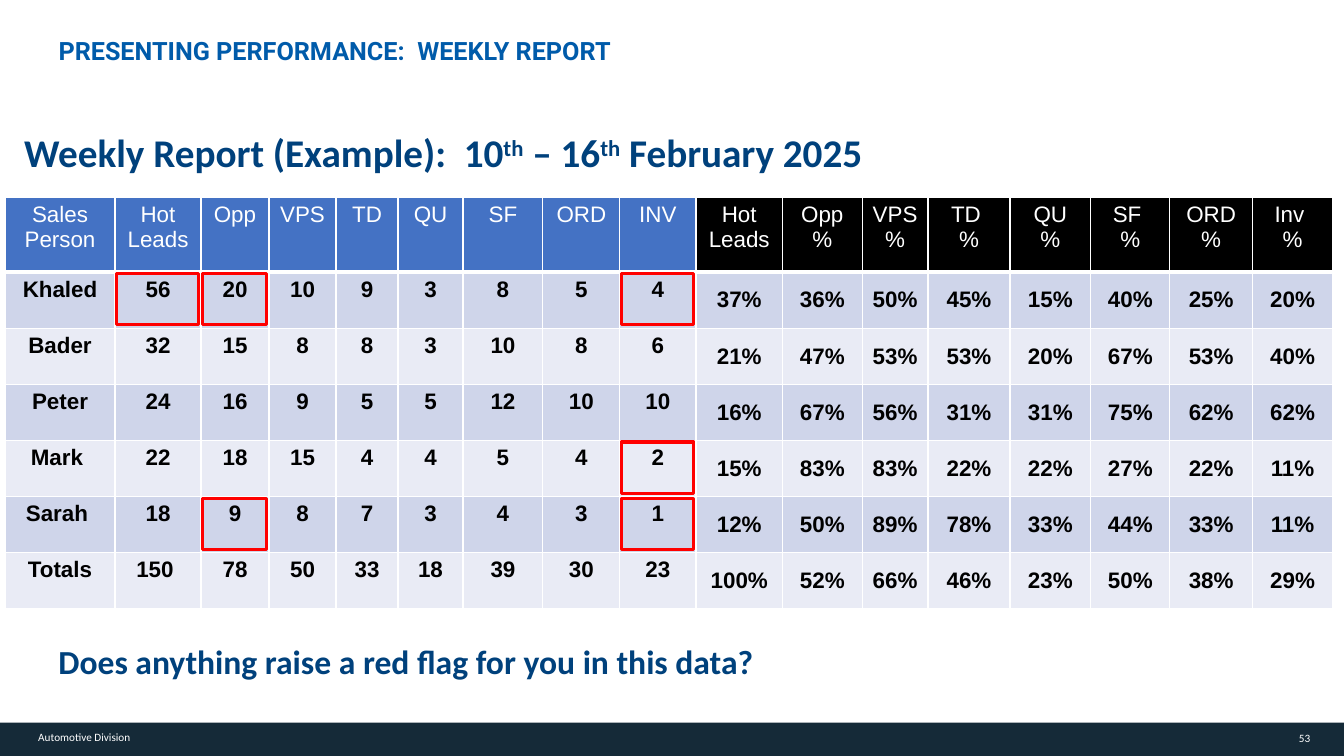
"""Build the weekly sales report slide with counts, percentages and red flags."""
import pptx
import pptx.dml.color
import pptx.enum.shapes
import pptx.enum.text
import pptx.oxml
import pptx.oxml.ns
import pptx.util

Pt = pptx.util.Pt
ALIGN = pptx.enum.text.PP_ALIGN
ANCHOR = pptx.enum.text.MSO_ANCHOR

COLORS = {
    "white": "FFFFFF", "black": "000000", "footer": "152A38", "heading": "005BAA",
    "navy": "00417C", "header": "4472C4", "odd": "CFD5EA", "even": "E9EBF5",
    "flag": "FF0000",
}
TABLE_LEFT, TABLE_TOP = 3.6, 141.1
ROW_HEIGHTS = [53.3] + [40.1] * 6
COUNT_WIDTHS = [78.6, 61.4, 48.6, 47.9, 44.3, 46.4, 57.1, 55, 54.3]
SHARE_WIDTHS = [61.7, 57, 47, 58.6, 57.6, 56.6, 59, 57.3]
COUNTS = [
    ["Sales Person", "Hot Leads", "Opp", "VPS", "TD", "QU", "SF", "ORD", "INV"],
    ["Khaled", "56", "20", "10", "9", "3", "8", "5", "4"],
    ["Bader", "32", "15", "8", "8", "3", "10", "8", "6"],
    ["Peter", "24", "16", "9", "5", "5", "12", "10", "10"],
    ["Mark ", "22", "18", "15", "4", "4", "5", "4", "2"],
    ["Sarah ", "18", "9", "8", "7", "3", "4", "3", "1"],
    ["Totals", "150 ", "78", "50", "33", "18", "39", "30", "23"],
]
SHARES = [
    ["Hot Leads", "Opp\n%", "VPS\n%", "TD \n%", "QU\n%", "SF \n%", "ORD\n%", "Inv \n%"],
    ["37%", "36%", "50%", "45%", "15%", "40%", "25%", "20%"],
    ["21%", "47%", "53%", "53%", "20%", "67%", "53%", "40%"],
    ["16%", "67%", "56%", "31%", "31%", "75%", "62%", "62%"],
    ["15%", "83%", "83%", "22%", "22%", "27%", "22%", "11%"],
    ["12%", "50%", "89%", "78%", "33%", "44%", "33%", "11%"],
    ["100%", "52%", "66%", "46%", "23%", "50%", "38%", "29%"],
]
FLAGGED_CELLS = [(1, 2), (5, 2), (1, 8), (5, 8), (4, 8), (1, 1)]


def rgb(name):
    """Return the named colour."""
    return pptx.dml.color.RGBColor.from_string(COLORS[name])


def set_font(p, name, size, color, bold=False):
    """Set the font of a whole paragraph."""
    p.font.name, p.font.size, p.font.bold = name, Pt(size), bold
    p.font.color.rgb = rgb(color)


def add_text(s, box, parts, name, size, color, bold=False, margins=(0, 0, 0, 0),
             wrap=True, align=ALIGN.LEFT, anchor=ANCHOR.TOP):
    """Add one paragraph, with every second part raised as superscript."""
    tf = s.shapes.add_textbox(*map(Pt, box)).text_frame
    tf.word_wrap, tf.vertical_anchor = wrap, anchor
    tf.margin_left, tf.margin_top, tf.margin_right, tf.margin_bottom = map(Pt, margins)
    p = tf.paragraphs[0]
    p.alignment = align
    for i, part in enumerate(parts):
        r = p.add_run()
        r.text = part
        if i % 2:
            r.font._element.set("baseline", "30000")
    set_font(p, name, size, color, bold)


def add_rect(s, box, fill=None, line=None):
    """Add a rectangle with an optional fill and outline."""
    sp = s.shapes.add_shape(pptx.enum.shapes.MSO_SHAPE.RECTANGLE, *map(Pt, box))
    sp.shadow.inherit = False
    if fill:
        sp.fill.solid()
        sp.fill.fore_color.rgb = rgb(fill)
    else:
        sp.fill.background()
    if line:
        sp.line.color.rgb = rgb(line)
        sp.line.width = Pt(2.25)
    else:
        sp.line.fill.background()


def set_borders(cell, bottom):
    """Draw white cell borders with the given bottom width."""
    ns = pptx.oxml.ns.nsdecls("a")
    for side, width in (("L", 1), ("R", 1), ("T", 1), ("B", bottom)):
        cell._tc.get_or_add_tcPr().append(pptx.oxml.parse_xml(
            f'<a:ln{side} {ns} w="{Pt(width)}"><a:solidFill>'
            f'<a:srgbClr val="{COLORS["white"]}"/></a:solidFill></a:ln{side}>'))


def add_report_table(s, left, widths, rows, header_fill, body_anchor):
    """Add a banded table with a coloured header row."""
    tbl = s.shapes.add_table(len(rows), len(widths), Pt(left), Pt(TABLE_TOP),
                             Pt(sum(widths)), Pt(sum(ROW_HEIGHTS))).table
    for column, width in zip(tbl.columns, widths):
        column.width = Pt(width)
    for i, values in enumerate(rows):
        tbl.rows[i].height = Pt(ROW_HEIGHTS[i])
        is_header = i == 0
        fill = header_fill if is_header else "odd" if i % 2 else "even"
        for j, value in enumerate(values):
            cell = tbl.cell(i, j)
            set_borders(cell, 3 if is_header else 1)
            cell.fill.solid()
            cell.fill.fore_color.rgb = rgb(fill)
            cell.vertical_anchor = ANCHOR.TOP if is_header else body_anchor
            cell.text = value
            for p in cell.text_frame.paragraphs:
                p.alignment = ALIGN.CENTER
                set_font(p, "Arial", 16, "white" if is_header else "black", not is_header)


def add_flag(s, row, col):
    """Outline one cell of the counts table in red."""
    left = TABLE_LEFT + sum(COUNT_WIDTHS[:col])
    top = TABLE_TOP + sum(ROW_HEIGHTS[:row])
    add_rect(s, (left + 1, top + 1, COUNT_WIDTHS[col] - 2.5, 36.7), line="flag")


def main():
    """Build and save the slide."""
    prs = pptx.Presentation()
    prs.slide_width, prs.slide_height = Pt(960), Pt(540)
    s = prs.slides.add_slide(prs.slide_layouts[6])

    add_rect(s, (0, 516.2, 960, 23.8), fill="footer")
    add_text(s, (925.9, 522.7, 10.1, 9.4), ["53"], "Calibri", 8, "white",
             wrap=False, align=ALIGN.RIGHT, anchor=ANCHOR.MIDDLE)
    add_text(s, (20.2, 518.4, 87.1, 17.3), ["Automotive Division"], "Calibri", 8,
             "white", margins=(7.2, 3.6, 7.2, 3.6), wrap=False)

    add_report_table(s, TABLE_LEFT, COUNT_WIDTHS, COUNTS, "header", ANCHOR.TOP)
    add_report_table(s, TABLE_LEFT + sum(COUNT_WIDTHS), SHARE_WIDTHS, SHARES,
                     "black", ANCHOR.MIDDLE)

    add_text(s, (41.8, 25.2, 857.5, 21.6), ["PRESENTING PERFORMANCE:  WEEKLY REPORT"],
             "Roboto", 18, "heading", bold=True)
    title = ["Weekly Report (Example):  10", "th", " – 16", "th", " February 2025"]
    add_text(s, (10.1, 46.8, 683.3, 94.3), title, "Calibri", 28, "navy", bold=True,
             margins=(7.2, 45, 7.2, 3.6))
    add_text(s, (34.6, 412.6, 683.3, 94.3),
             ["Does anything raise a red flag for you in this data?"],
             "Calibri", 24, "navy", bold=True, margins=(7.2, 45, 7.2, 3.6))

    for row, col in FLAGGED_CELLS:
        add_flag(s, row, col)
    prs.save("out.pptx")


if __name__ == "__main__":
    main()
